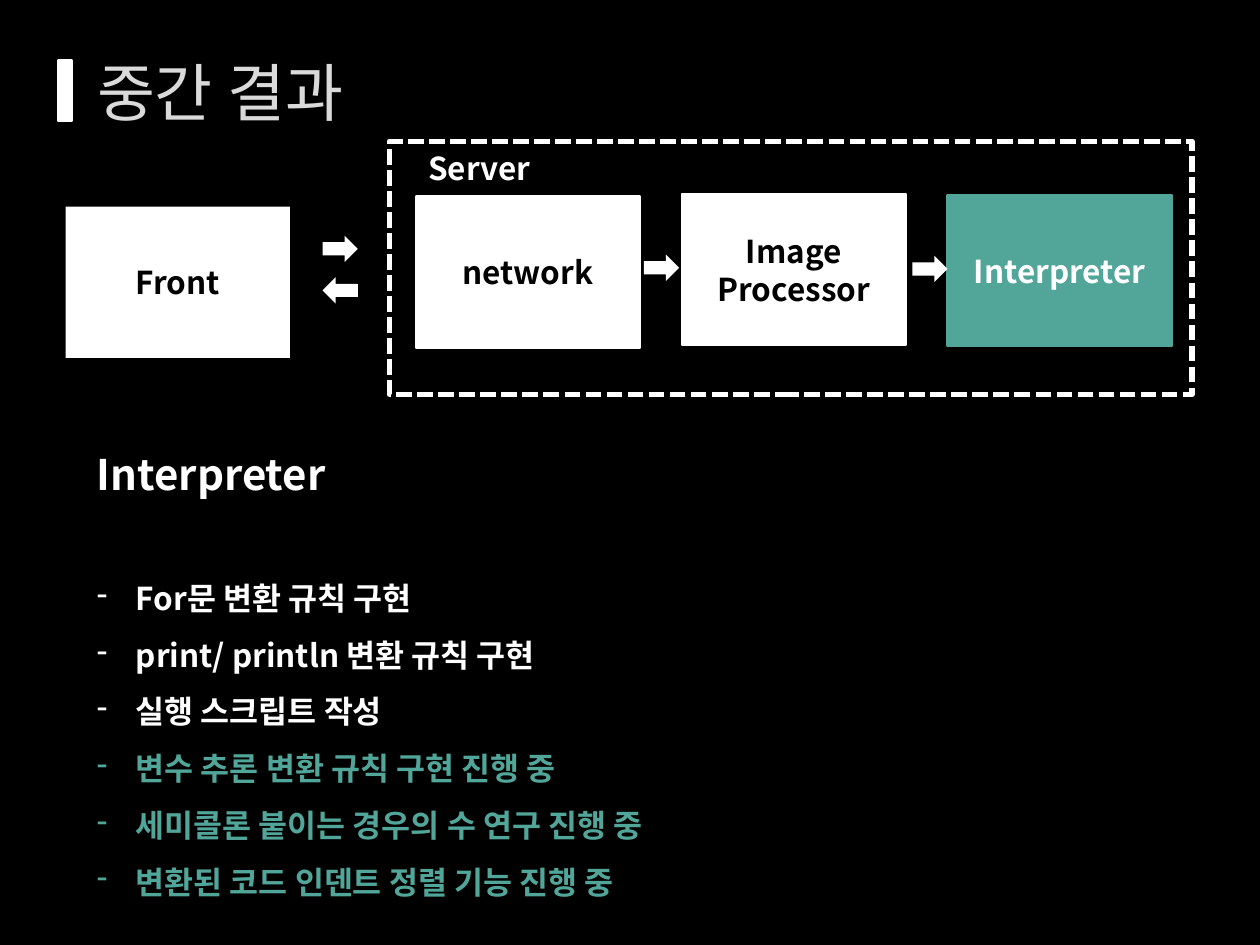
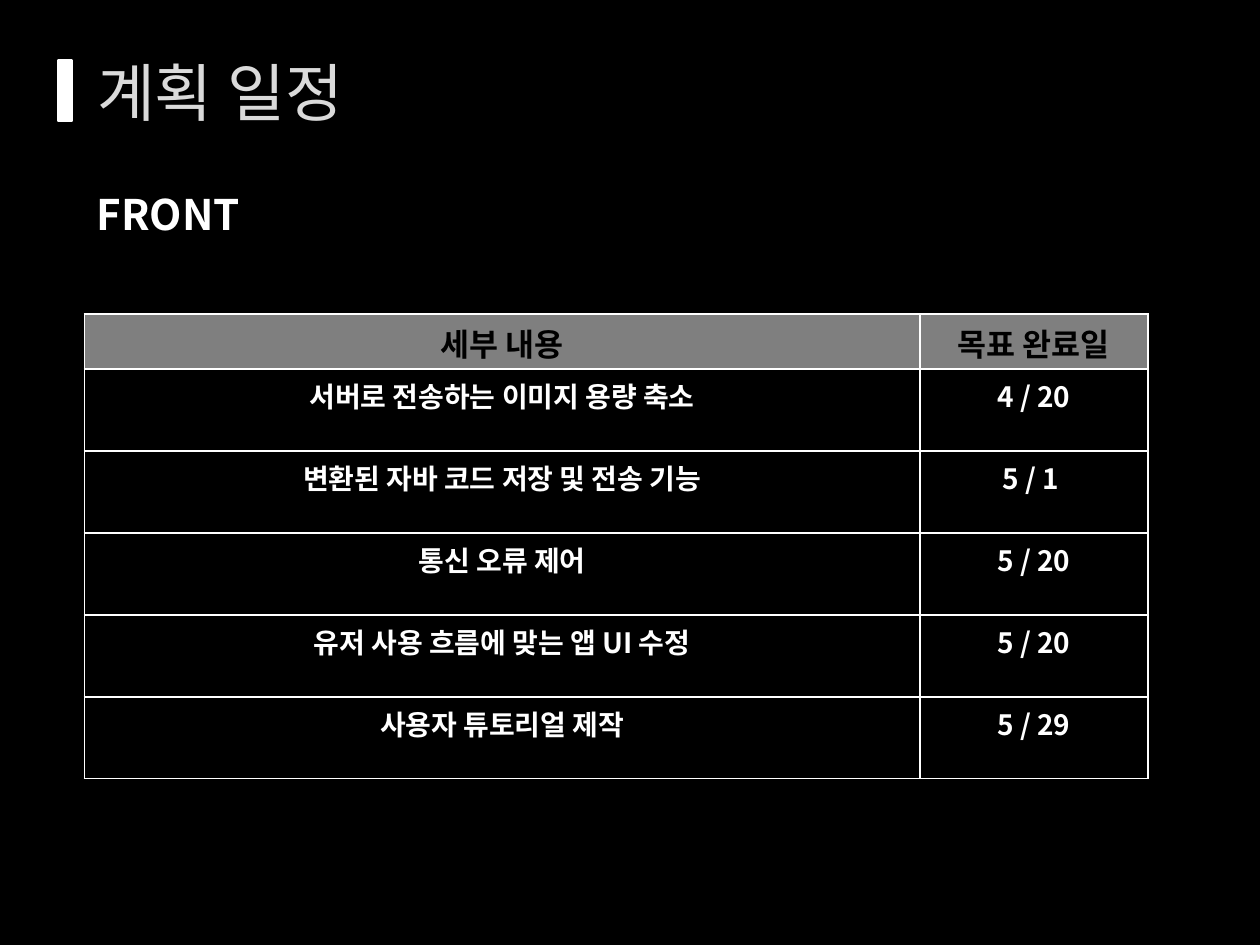
from lxml import etree
from pptx import Presentation
from pptx.dml.color import RGBColor
from pptx.enum import dml, shapes, text
from pptx.oxml import ns
from pptx.util import Inches, Pt

FONT = "Noto Sans CJK KR"
C = {"black": "000000", "white": "FFFFFF", "title": "DADADA", "teal": "51A599", "gray": "7F7F7F"}
LEFT, CENTER = text.PP_ALIGN.LEFT, text.PP_ALIGN.CENTER
RECT = shapes.MSO_SHAPE.RECTANGLE
RIGHT_ARROW, LEFT_ARROW = shapes.MSO_SHAPE.RIGHT_ARROW, shapes.MSO_SHAPE.LEFT_ARROW


def write(p, words, size, color, bold=True, align=LEFT):
    p.text = words
    p.alignment = align
    f = p.font
    f.name, f.size, f.bold = FONT, Pt(size), bold
    f.color.rgb = RGBColor.from_string(C[color])
    latin = p._p.pPr.find(ns.qn("a:defRPr")).find(ns.qn("a:latin"))
    ea = etree.Element(ns.qn("a:ea"), typeface=FONT)
    latin.addnext(ea)


def add_block(s, kind, x, y, w, h, fill, line=None, weight=1.25):
    sp = s.shapes.add_shape(kind, Inches(x), Inches(y), Inches(w), Inches(h))
    sp.shadow.inherit = False
    sp.fill.solid()
    sp.fill.fore_color.rgb = RGBColor.from_string(C[fill])
    if line:
        sp.line.color.rgb = RGBColor.from_string(C[line])
        sp.line.width = Pt(weight)
    else:
        sp.line.fill.background()
    return sp


prs = Presentation()
prs.slide_width, prs.slide_height = Inches(10), Inches(7.5)
bg = prs.slide_master.background.fill
bg.solid()
bg.fore_color.rgb = RGBColor.from_string(C["black"])

slides = []
for heading in ("중간 결과", "계획 일정"):
    s = prs.slides.add_slide(prs.slide_layouts[5])
    title = s.shapes.title
    title.left, title.top, title.width, title.height = Inches(0.67), 0, Inches(9.33), Inches(1.45)
    title.text_frame.vertical_anchor = text.MSO_ANCHOR.MIDDLE
    title.text_frame.auto_size = text.MSO_AUTO_SIZE.NONE
    write(title.text_frame.paragraphs[0], heading, 36, "title", bold=False)
    add_block(s, RECT, 0.46, 0.48, 0.11, 0.48, "white", "white")
    slides.append(s)
progress, plan = slides

tf = progress.shapes.add_textbox(Inches(0.67), Inches(3.56), Inches(8.23), Inches(3.53)).text_frame
tf.word_wrap = True
tf.margin_top = tf.margin_bottom = 0
p = tf.paragraphs[0]
write(p, "Interpreter", 24, "white")
p.space_after = Pt(35)
tasks = [
    ("For문 변환 규칙 구현", "white"),
    ("print/ println 변환 규칙 구현", "white"),
    ("실행 스크립트 작성", "white"),
    ("변수 추론 변환 규칙 구현 진행 중", "teal"),
    ("세미콜론 붙이는 경우의 수 연구 진행 중", "teal"),
    ("변환된 코드 인덴트 정렬 기능 진행 중", "teal"),
]
for task, color in tasks:
    p = tf.add_paragraph()
    write(p, task, 18, color)
    p.line_spacing = 1.5
    pPr = p._p.pPr
    pPr.set("marL", str(Inches(0.31)))
    pPr.set("indent", str(-Inches(0.31)))
    bullet = etree.Element(ns.qn("a:buChar"), char="-")
    pPr.find(ns.qn("a:defRPr")).addprevious(bullet)

server = add_block(progress, RECT, 3.09, 1.12, 6.37, 2.01, "black", "white", 3)
server.line.dash_style = dml.MSO_LINE.SQUARE_DOT
modules_row = [
    ("Front", 0.52, 1.64, "white", "black", None),
    ("network", 3.3, 1.56, "white", "black", "white"),
    ("Image Processor", 5.41, 1.54, "white", "black", "white"),
    ("Interpreter", 7.52, 1.55, "teal", "white", "teal"),
]
for name, x, y, fill, color, line in modules_row:
    sp = add_block(progress, RECT, x, y, 1.78, 1.2, fill, line)
    tf = sp.text_frame
    tf.word_wrap = True
    tf.vertical_anchor = text.MSO_ANCHOR.MIDDLE
    write(tf.paragraphs[0], name, 18, color, align=CENTER)
for kind, x, y in [(RIGHT_ARROW, 2.56, 1.87), (LEFT_ARROW, 2.56, 2.2),
                   (RIGHT_ARROW, 5.11, 2.02), (RIGHT_ARROW, 7.24, 2.03)]:
    add_block(progress, kind, x, y, 0.28, 0.21, "white")

for s, label, x, y, w, h, size in [(progress, "Server", 3.3, 1.13, 1.61, 0.42, 18),
                                   (plan, "FRONT", 0.67, 1.45, 1.4, 0.5, 24)]:
    tf = s.shapes.add_textbox(Inches(x), Inches(y), Inches(w), Inches(h)).text_frame
    tf.word_wrap = True
    write(tf.paragraphs[0], label, size, "white")

rows = [
    ("세부 내용", "목표 완료일"),
    ("서버로 전송하는 이미지 용량 축소", "4 / 20"),
    ("변환된 자바 코드 저장 및 전송 기능", "5 / 1 "),
    ("통신 오류 제어", "5 / 20"),
    ("유저 사용 흐름에 맞는 앱 UI 수정", "5 / 20"),
    ("사용자 튜토리얼 제작", "5 / 29"),
]
table = plan.shapes.add_table(len(rows), 2, Inches(0.67), Inches(2.49), Inches(8.44), Inches(3.69)).table
table.columns[0].width, table.columns[1].width = Inches(6.63), Inches(1.81)
for i, row in enumerate(rows):
    table.rows[i].height = Inches(0.65 if i else 0.44)
    for j, words in enumerate(row):
        cell = table.cell(i, j)
        if i:
            cell.fill.background()
            write(cell.text_frame.paragraphs[0], words, 16, "white", align=CENTER)
        else:
            cell.fill.solid()
            cell.fill.fore_color.rgb = RGBColor.from_string(C["gray"])
            write(cell.text_frame.paragraphs[0], words, 18, "black", align=CENTER)
        tcPr = cell._tc.get_or_add_tcPr()
        for k, side in enumerate(("lnL", "lnR", "lnT", "lnB")):
            ln = etree.Element(ns.qn("a:" + side), w=str(Pt(1)))
            solid = etree.SubElement(ln, ns.qn("a:solidFill"))
            etree.SubElement(solid, ns.qn("a:srgbClr"), val=C["white"])
            tcPr.insert(k, ln)

prs.save("out.pptx")
